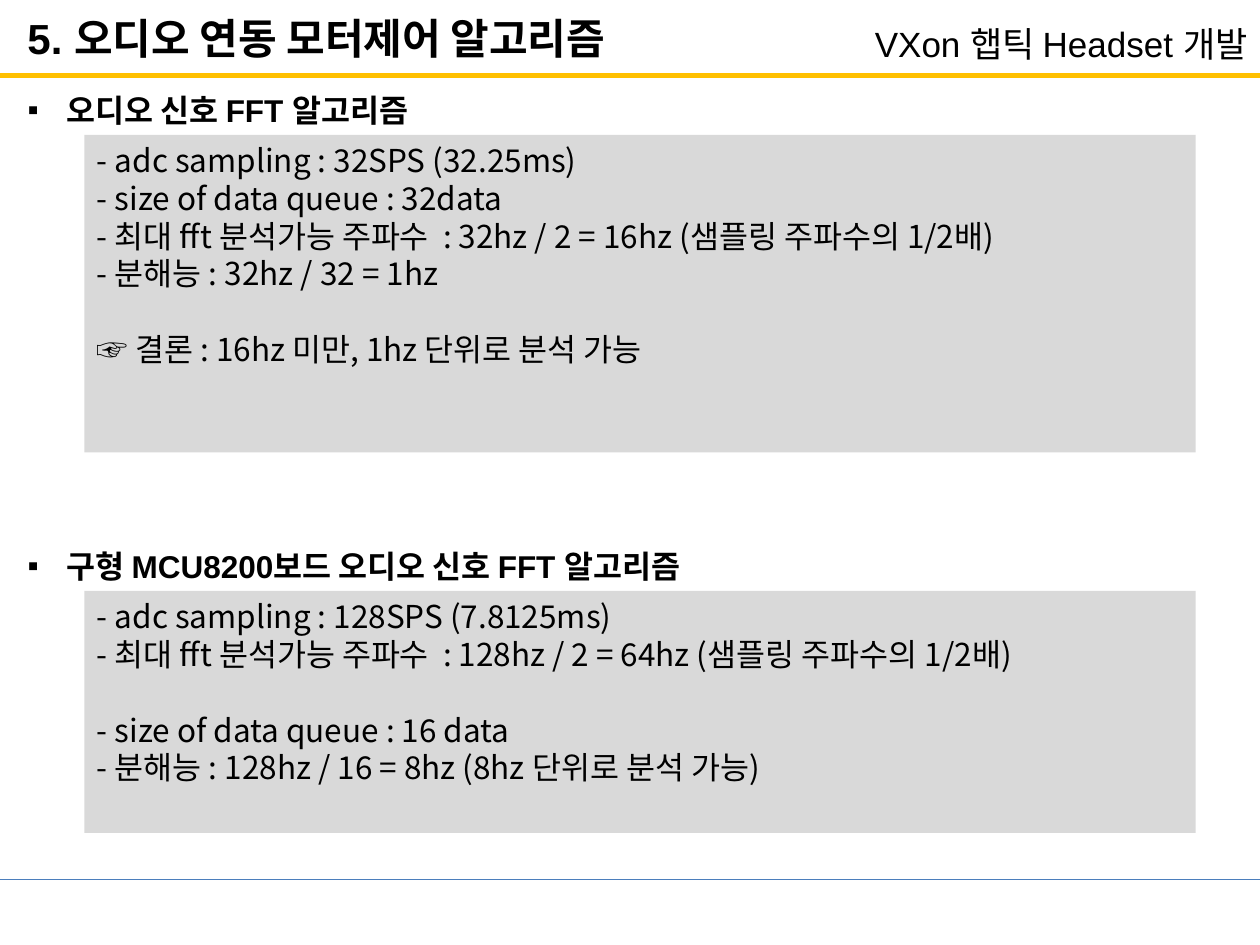
from lxml.etree import SubElement
from pptx import Presentation
from pptx.dml.color import RGBColor
from pptx.enum.shapes import MSO_CONNECTOR, MSO_SHAPE
from pptx.enum.text import MSO_ANCHOR, PP_ALIGN
from pptx.oxml.ns import qn
from pptx.util import Inches, Pt

# Content
TITLE = "5. 오디오 연동 모터제어 알고리즘"
PROJECT = "VXon 햅틱 Headset 개발"
# Each section: heading, heading top, panel height, groups of lines
SECTIONS = [
    ("오디오 신호 FFT 알고리즘", 0.67, 2.52, [
        ["- adc sampling : 32SPS (32.25ms)",
         "- size of data queue : 32data",
         "- 최대 fft 분석가능 주파수  : 32hz / 2 = 16hz (샘플링 주파수의 1/2배)",
         "- 분해능 : 32hz / 32 = 1hz"],
        ["☞ 결론 : 16hz 미만, 1hz 단위로 분석 가능"],
    ]),
    ("구형 MCU8200보드 오디오 신호 FFT 알고리즘", 4.29, 1.92, [
        ["- adc sampling : 128SPS (7.8125ms)",
         "- 최대 fft 분석가능 주파수  : 128hz / 2 = 64hz (샘플링 주파수의 1/2배)"],
        ["- size of data queue : 16 data",
         "- 분해능 : 128hz / 16 = 8hz (8hz 단위로 분석 가능)"],
    ]),
]
# Each rule: top, colour, width in points
RULES = [(0.6, "accent", 3), (6.98, "footer", 0.75)]

COLORS = {"text": "000000", "accent": "FFC000", "footer": "4B7EBC", "panel": "D9D9D9"}
HEADING_FONT, BODY_FONT = "Arial", "Noto Sans CJK KR"
HEADING_HEIGHT = 0.4
LINE_PITCH = Pt(21.6)


def color(name):
    return RGBColor.from_string(COLORS[name])


def add_run(paragraph, text, size, font, bold=False):
    run = paragraph.add_run()
    run.text = text
    run.font.size = Pt(size)
    run.font.name = font
    run.font.bold = bold
    run.font.color.rgb = color("text")
    east_asian = SubElement(run.font._element, qn("a:ea"))
    east_asian.set("typeface", BODY_FONT)


def add_label(slide, box, text, size, bold=True, align=PP_ALIGN.LEFT, bullet=None):
    label = slide.shapes.add_textbox(*map(Inches, box))
    label.text_frame.word_wrap = True
    paragraph = label.text_frame.paragraphs[0]
    paragraph.alignment = align
    if bullet:
        properties = paragraph._p.get_or_add_pPr()
        properties.set("marL", str(Inches(0.31)))
        properties.set("indent", str(-Inches(0.31)))
        SubElement(properties, qn("a:buFont")).set("typeface", HEADING_FONT)
        SubElement(properties, qn("a:buChar")).set("char", bullet)
    add_run(paragraph, text, size, HEADING_FONT, bold)


def add_panel(slide, top, height, groups):
    panel = slide.shapes.add_shape(
        MSO_SHAPE.RECTANGLE, Inches(0.67), Inches(top), Inches(8.82), Inches(height))
    panel.shadow.inherit = False
    panel.fill.solid()
    panel.fill.fore_color.rgb = color("panel")
    panel.line.fill.background()
    frame = panel.text_frame
    frame.word_wrap = True
    frame.vertical_anchor = MSO_ANCHOR.TOP
    paragraph = None
    for group in groups:
        for index, line in enumerate(group):
            first = paragraph is None
            paragraph = frame.paragraphs[0] if first else frame.add_paragraph()
            paragraph.alignment = PP_ALIGN.LEFT
            paragraph.line_spacing = LINE_PITCH
            # A new group starts one line lower
            if index == 0 and not first:
                paragraph.space_before = LINE_PITCH
            add_run(paragraph, line, 18, BODY_FONT)


def add_rule(slide, top, color_name, width):
    rule = slide.shapes.add_connector(
        MSO_CONNECTOR.STRAIGHT, 0, Inches(top), Inches(10), Inches(top))
    rule.line.color.rgb = color(color_name)
    rule.line.width = Pt(width)
    SubElement(rule._element.spPr, qn("a:effectLst"))


def main():
    presentation = Presentation()
    presentation.slide_width, presentation.slide_height = Inches(10), Inches(7.5)
    slide = presentation.slides.add_slide(presentation.slide_layouts[6])

    # Header and rules
    for rule in RULES:
        add_rule(slide, *rule)
    add_label(slide, (6.5, 0.13, 3.5, 0.44), PROJECT, 20, False, PP_ALIGN.RIGHT)
    add_label(slide, (0.12, 0.05, 6.93, 0.5), TITLE, 24)

    # Sections: heading with its panel directly below
    for heading, top, height, groups in SECTIONS:
        add_label(slide, (0.12, top, 8.98, HEADING_HEIGHT), heading, 18, bullet="▪")
        add_panel(slide, top + HEADING_HEIGHT, height, groups)

    presentation.save("out.pptx")


if __name__ == "__main__":
    main()
